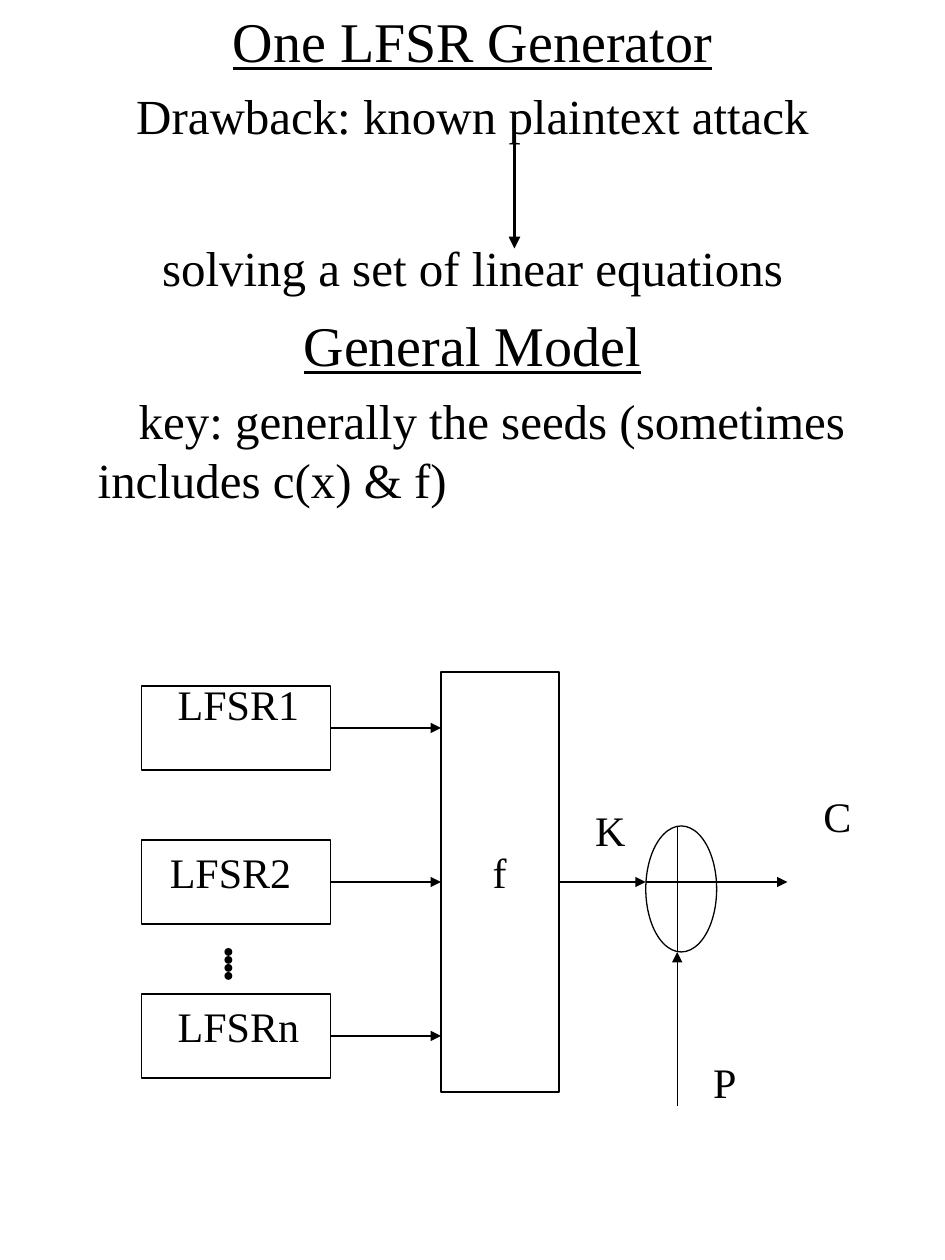
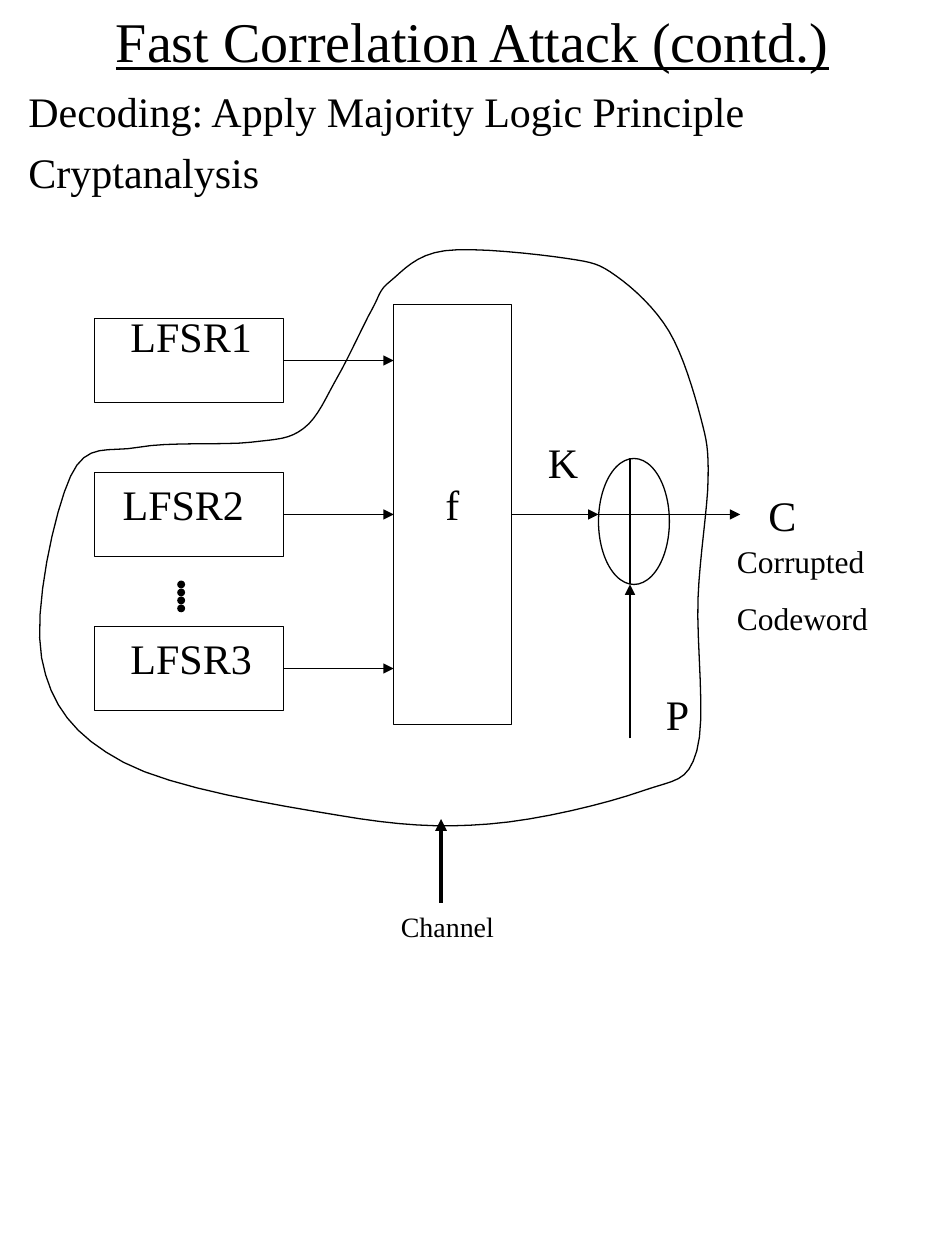
from lxml.etree import SubElement
from pptx import Presentation
from pptx.dml.color import RGBColor
from pptx.enum.shapes import MSO_CONNECTOR as Connector, MSO_SHAPE as Preset
from pptx.enum.text import MSO_ANCHOR as Anchor, MSO_AUTO_SIZE as AutoSize, PP_ALIGN as Align
from pptx.oxml.ns import qn
from pptx.util import Emu, Inches, Pt

WIDTH, HEIGHT = Inches(7.5), Inches(10)
COLUMNS, ROWS = 120, 90
FONT = "Times New Roman"
INK, PAPER = "000000", "FFFFFF"
THIN, THICK = 0.75, 2.25
TITLE_ROWS = 5.67

# Points in inches that the smooth channel outline passes through
CHANNEL_POINTS = [
    (0.56, 3.78), (1.1, 3.55), (1.99, 3.51), (2.41, 3.4), (2.68, 2.99),
    (2.95, 2.46), (3.1, 2.23), (3.53, 1.99), (4.49, 2.05), (4.89, 2.19),
    (5.31, 2.63), (5.56, 3.31), (5.62, 3.8), (5.54, 4.75), (5.53, 5.96),
    (5.09, 6.28), (3.88, 6.54), (2.68, 6.47), (0.98, 6.05), (0.33, 5.22),
]


def color(hex_string):
    return RGBColor.from_string(hex_string)


def across(columns):
    return Emu(round(WIDTH * columns / COLUMNS))


def down(rows):
    return Emu(round(HEIGHT * rows / ROWS))


def frame(left, top, width, height):
    return across(left), down(top), across(width), down(height)


def place(shape, *area):
    shape.left, shape.top, shape.width, shape.height = frame(*area)


def format_paragraph(paragraph, size, before=0, align=Align.LEFT, underline=False):
    paragraph.alignment = align
    paragraph.space_before = Pt(before)
    for run in paragraph.runs:
        run.font.name, run.font.size = FONT, Pt(size)
        run.font.underline = underline
        run.font.color.rgb = color(INK)


def add_title(slide, text):
    title = slide.shapes.title
    place(title, 0, 0, COLUMNS, TITLE_ROWS)
    text_frame = title.text_frame
    text_frame.text = text
    text_frame.auto_size = AutoSize.NONE
    text_frame.vertical_anchor = Anchor.TOP
    format_paragraph(text_frame.paragraphs[0], 32, align=Align.CENTER, underline=True)


def add_body(slide, left, width, height, items):
    """Fill the body with (text, size, space before, align, underline) items."""
    body = slide.placeholders[1]
    place(body, left, TITLE_ROWS, width, height)
    text_frame = body.text_frame
    text_frame.auto_size = AutoSize.NONE
    text_frame.text = "\n".join(item[0] for item in items)
    for paragraph, (_, *style) in zip(text_frame.paragraphs, items):
        format_paragraph(paragraph, *style)
        indent_paragraph(paragraph, 0, 0)
        SubElement(paragraph._p.get_or_add_pPr(), qn("a:buNone"))
    return text_frame


def indent_paragraph(paragraph, margin, first_line):
    properties = paragraph._p.get_or_add_pPr()
    properties.set("marL", str(across(margin)))
    properties.set("indent", str(across(first_line)))


def add_label(slide, text, left, top, width, height=4.5, size=24, before=0):
    text_frame = slide.shapes.add_textbox(*frame(left, top, width, height)).text_frame
    text_frame.word_wrap = True
    text_frame.text = text
    for paragraph in text_frame.paragraphs:
        format_paragraph(paragraph, size, before)


def add_figure(slide, preset, *area, fill=PAPER):
    shape = slide.shapes.add_shape(preset, *frame(*area))
    shape.shadow.inherit = False
    shape.fill.solid()
    shape.fill.fore_color.rgb = color(fill)
    if fill == INK:
        shape.line.fill.background()
    else:
        outline(shape)


def outline(shape, weight=THIN):
    shape.line.color.rgb = color(INK)
    shape.line.width = Pt(weight)


def add_line(slide, x1, y1, x2, y2, weight=THIN, arrow=False):
    line = slide.shapes.add_connector(
        Connector.STRAIGHT, across(x1), down(y1), across(x2), down(y2))
    outline(line, weight)
    if arrow:
        SubElement(line.line._get_or_add_ln(), qn("a:tailEnd"), type="triangle")
    SubElement(line._element.spPr, qn("a:effectLst"))


def add_generator(slide, left, top, registers):
    """Draw registers, combining function f and XOR from a top left grid cell."""
    def figure(preset, x, y, width, height, fill=PAPER):
        add_figure(slide, preset, left + x, top + y, width, height, fill=fill)

    def line(x1, y1, x2, y2, arrow=False):
        add_line(slide, left + x1, top + y1, left + x2, top + y2, arrow=arrow)

    def label(text, x, y, width):
        add_label(slide, text, left + x, top + y, width)

    for index in range(len(registers)):
        figure(Preset.RECTANGLE, 0, 1 + 11 * index, 24, 6)
        line(24, 4 + 11 * index, 38, 4 + 11 * index, arrow=True)
    figure(Preset.RECTANGLE, 38, 0, 15, 30)
    line(53, 15, 64, 15, arrow=True)
    figure(Preset.OVAL, 64, 11, 9, 9)
    line(68, 31, 68, 20, arrow=True)
    line(73, 15, 82, 15, arrow=True)
    line(68, 11, 68, 20)
    line(64, 15, 74, 15)
    for index in range(4):
        figure(Preset.OVAL, 10.5, 19.72 + 0.57 * index, 1, 0.56, fill=INK)
    for name, x, y in zip(registers, (3, 2, 3), (0, 12, 23)):
        label(name, x, y, 19)
    label("f", 43, 12, 5)
    label("K", 56, 9, 6)
    label("P", 71, 27, 5)


def smooth_closed(points, steps=8):
    """Points along a closed Catmull-Rom curve through the given points."""
    count = len(points)
    for index in range(count):
        near = [points[(index + offset) % count] for offset in (-1, 0, 1, 2)]
        for step in range(1, steps + 1):
            t = step / steps
            yield tuple(
                Inches(b + t * (c - a) / 2 + t ** 2 * (2 * a - 5 * b + 4 * c - d) / 2
                       + t ** 3 * (3 * (b - c) + d - a) / 2)
                for a, b, c, d in zip(*near))


def add_channel_outline(slide):
    builder = slide.shapes.build_freeform(*map(Inches, CHANNEL_POINTS[0]))
    builder.add_line_segments(list(smooth_closed(CHANNEL_POINTS)), close=True)
    shape = builder.convert_to_shape()
    shape.shadow.inherit = False
    shape.fill.background()
    outline(shape)


def build_generator_slide(slide):
    add_title(slide, "One LFSR Generator")
    text_frame = add_body(slide, 0, COLUMNS, 81.33, [
        ("Drawback: known plaintext attack", 28, 0, Align.CENTER),
        ("solving a set of linear equations", 28, 53.4, Align.CENTER),
        ("General Model", 32, 8, Align.CENTER, True),
        ("key: generally the seeds (sometimes includes c(x) & f)", 28, 7),
    ])
    indent_paragraph(text_frame.paragraphs[-1], 10.8, 5.2)
    add_line(slide, 65.33, 9.75, 65.33, 17.75, THICK, arrow=True)
    add_generator(slide, 18, 48, ("LFSR1", "LFSR2", "LFSRn"))
    add_label(slide, "C", 103, 56, 10)


def build_attack_slide(slide):
    add_title(slide, "Fast Correlation Attack (contd.)")
    add_body(slide, 2, 116, 82.33, [
        ("Decoding: Apply Majority Logic Principle", 24),
        ("Cryptanalysis", 24, 6),
    ])
    add_generator(slide, 12, 21.75, ("LFSR1", "LFSR2", "LFSR3"))
    add_channel_outline(slide)
    add_label(slide, "C", 96, 34.5, 10.67)
    add_line(slide, 56, 64.5, 56, 58.5, THICK, arrow=True)
    add_label(slide, "Channel", 49.33, 64.5, 33.33, 3.33, size=16)
    add_label(slide, "Corrupted\nCodeword", 92, 38.25, 24, 7.75, size=18, before=11.2)


def main():
    presentation = Presentation()
    presentation.slide_width, presentation.slide_height = WIDTH, HEIGHT
    layout = presentation.slide_layouts[1]
    for build in (build_generator_slide, build_attack_slide):
        build(presentation.slides.add_slide(layout))
    presentation.save("out.pptx")


if __name__ == "__main__":
    main()
